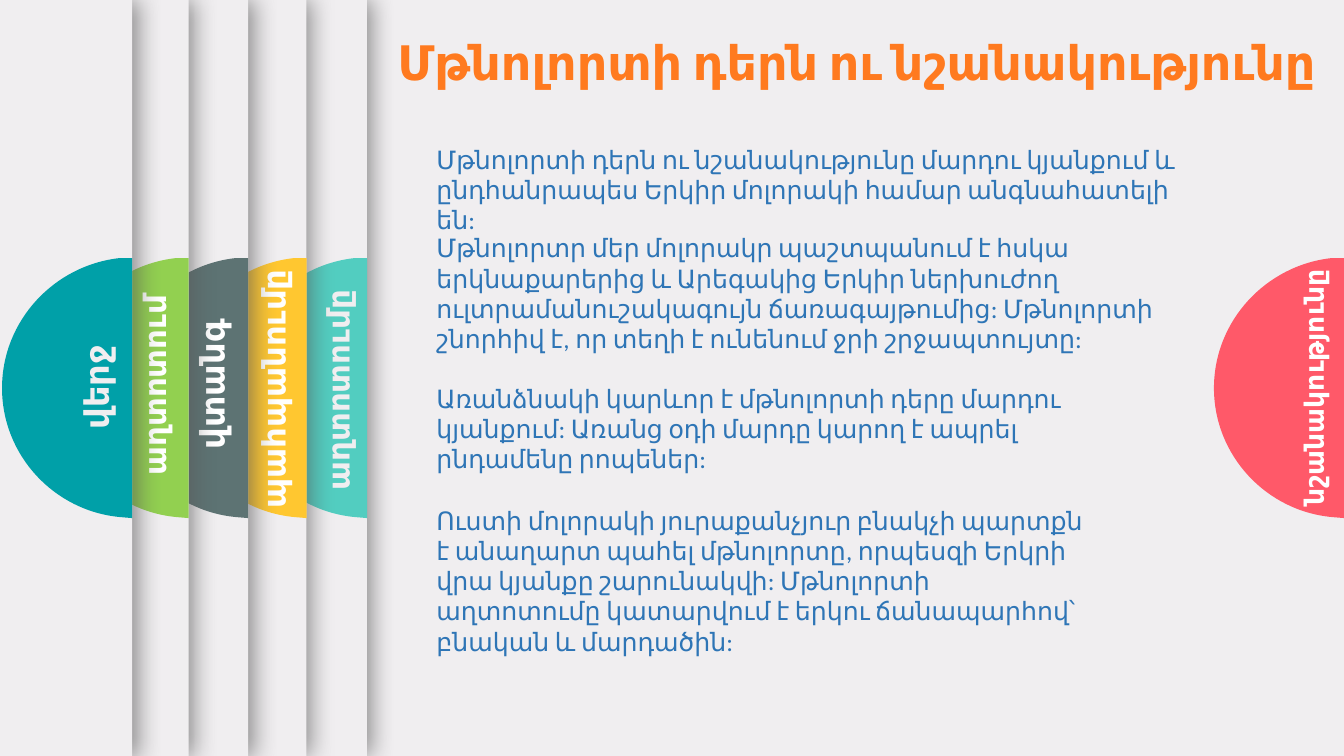
import pptx
import pptx.dml.color
import pptx.enum.shapes
import pptx.enum.text
import pptx.oxml
import pptx.oxml.ns
import pptx.util

Inches = pptx.util.Inches
RGBColor = pptx.dml.color.RGBColor

PAPER = RGBColor(0xF0, 0xEE, 0xF0)
WHITE = RGBColor(0xFF, 0xFF, 0xFF)
ORANGE = RGBColor(0xFF, 0x7A, 0x1F)
BLUE = RGBColor(0x2E, 0x75, 0xB6)
CORAL = RGBColor(0xFF, 0x59, 0x69)
TURQUOISE = RGBColor(0x52, 0xCD, 0xC0)
YELLOW = RGBColor(0xFF, 0xC7, 0x30)
SLATE = RGBColor(0x5D, 0x73, 0x73)
GREEN = RGBColor(0x92, 0xD0, 0x50)
TEAL = RGBColor(0x00, 0xA0, 0xA8)

FONT = "Calibri"
SLIDE_WIDTH, SLIDE_HEIGHT = 13.33, 7.5
TAB_CENTER = 3.85
# Offsets from the middle of the tab's straight side: three corners, then two Bézier curves
TAB_OUTLINE = [
    (0, -1.29), (0, 1.29), (-0.12, 1.28),
    (-0.77, 1.22), (-1.29, 0.67), (-1.29, 0),
    (-1.29, -0.67), (-0.77, -1.22), (-0.12, -1.29),
]

# sheet left and right, tab colour, label spans, size, label colour, label centre x, y, length
FRONT_PANEL = (-0.32, SLIDE_WIDTH, CORAL, [("նշանակությունը", FONT)], 19, WHITE,
               13.03, 3.84, 2.57)
SIDE_PANELS = [
    (-9, 3.64, TURQUOISE, [("աղտոտումը", FONT)], 22, PAPER, 3.35, 3.87, 2.68),
    (-7.96, 3.04, YELLOW, [("պահպանումը", FONT)], 23, WHITE, 2.71, 3.86, 2.68),
    (-8.11, 2.46, SLATE, [("վտանգ", FONT)], 24, WHITE, 2.1, 3.81, 2.57),
    (-7.73, 1.87, GREEN, [("ա", "Roboto"), ("ղտոտում", FONT)], 22, WHITE, 1.53, 3.82, 2.71),
    (-9.65, 1.31, TEAL, [("վերջ", FONT)], 24, PAPER, 0.95, 3.84, 2.18),
]

# top, width, height, text
BODY_TEXTS = [
    (1.38, 7.58, 0.71, "Մթնոլորտի դերն ու նշանակությունը մարդու կյանքում\u00a0և "
     "ընդհանրապես Երկիր մոլորակի համար անգնահատելի են:"),
    (2.26, 7.58, 1.31, "Մթնոլորտր մեր մոլորակր պաշտպանում է հսկա երկնաքարերից\u00a0և "
     "Արեգակից Երկիր ներխուժող ուլտրամանուշակագույն ճառագայթումից: "
     "Մթնոլորտի շնորհիվ է, որ տեղի է ունենում ջրի շրջապտույտը:"),
    (3.75, 6.67, 1.01, "Առանձնակի կարևոր է մթնոլորտի դերը մարդու կյանքում: "
     "Առանց օդի մարդը կարող է ապրել րնդամենը րոպեներ:"),
    (4.96, 6.67, 1.62, "Ուստի մոլորակի յուրաքանչյուր բնակչի պարտքն է անաղարտ պահել "
     "մթնոլորտը, որպեսզի Երկրի վրա կյանքը շարունակվի: Մթնոլորտի աղտոտումը "
     "կատարվում է երկու ճանապարհով՝ բնական և մարդածին:"),
]


def write_text(box, spans, size, color, bold=False, align=pptx.enum.text.PP_ALIGN.LEFT):
    """Fill a box with one paragraph made of (text, font name) spans."""
    frame = box.text_frame
    frame.word_wrap = True
    frame.auto_size = pptx.enum.text.MSO_AUTO_SIZE.SHAPE_TO_FIT_TEXT
    frame.vertical_anchor = pptx.enum.text.MSO_ANCHOR.TOP
    para = frame.paragraphs[0]
    para.alignment = align
    for text, font_name in spans:
        span = para.add_run()
        span.text = text
        span.font.name = font_name
        span.font.size = pptx.util.Pt(size)
        span.font.bold = bold
        span.font.color.rgb = color


def paint(shape, color):
    shape.fill.solid()
    shape.fill.fore_color.rgb = color
    shape.line.fill.background()
    shape.shadow.inherit = False


def cast_shadow(shape):
    """Give the shape a soft shadow to its right."""
    effects = shape.element.spPr.find(pptx.oxml.ns.qn("a:effectLst"))
    effects.append(pptx.oxml.parse_xml(
        f'<a:outerShdw {pptx.oxml.ns.nsdecls("a")} blurRad="{pptx.util.Pt(17)}" '
        f'dist="{pptx.util.Pt(3)}" dir="0" algn="l" rotWithShape="0">'
        '<a:srgbClr val="595959"><a:alpha val="65000"/></a:srgbClr></a:outerShdw>'))


def add_half_disc(shapes, right, color):
    points = [(Inches(right + x), Inches(TAB_CENTER + y)) for x, y in TAB_OUTLINE]
    builder = shapes.build_freeform(*points[0])
    builder.add_line_segments(points[1:], close=True)
    disc = builder.convert_to_shape()
    segments = list(disc.element.iter(pptx.oxml.ns.qn("a:lnTo")))
    for first in (2, 5):
        curve = pptx.oxml.parse_xml(f'<a:cubicBezTo {pptx.oxml.ns.nsdecls("a")}/>')
        segments[first].addprevious(curve)
        for segment in segments[first:first + 3]:
            curve.append(segment[0])
            segment.getparent().remove(segment)
    paint(disc, color)


def add_panel(page, left, right, tab_color, spans, size, label_color,
              center_x, center_y, length):
    """Add a full-height sheet with a half-round tab and an upright label."""
    shapes = page.shapes.add_group_shape().shapes
    sheet = shapes.add_shape(pptx.enum.shapes.MSO_SHAPE.RECTANGLE, Inches(left), 0,
                             Inches(right - left), Inches(SLIDE_HEIGHT))
    paint(sheet, PAPER)
    cast_shadow(sheet)
    add_half_disc(shapes, right, tab_color)
    height = 0.1 + size * 0.017
    label = shapes.add_textbox(Inches(center_x - length / 2), Inches(center_y - height / 2),
                               Inches(length), Inches(height))
    label.rotation = 270
    write_text(label, spans, size, label_color, bold=True,
               align=pptx.enum.text.PP_ALIGN.CENTER)


def set_title(page, text):
    title = page.shapes.title
    title.left, title.top = Inches(3.76), Inches(0.28)
    title.width, title.height = Inches(9.48), Inches(0.67)
    write_text(title, [(text, FONT)], 34, ORANGE, bold=True,
               align=pptx.enum.text.PP_ALIGN.CENTER)
    page.shapes.element.append(title.element)  # in front of the first panel


def main():
    deck = pptx.Presentation()
    deck.slide_width, deck.slide_height = Inches(SLIDE_WIDTH), Inches(SLIDE_HEIGHT)
    page = deck.slides.add_slide(deck.slide_layouts[5])
    page.background.fill.solid()
    page.background.fill.fore_color.rgb = PAPER

    add_panel(page, *FRONT_PANEL)
    set_title(page, "Մթնոլորտի դերն ու նշանակությունը")
    for top, width, height, text in BODY_TEXTS:
        box = page.shapes.add_textbox(Inches(4.23), Inches(top), Inches(width), Inches(height))
        write_text(box, [(text, FONT)], 18, BLUE)
    for panel in SIDE_PANELS:
        add_panel(page, *panel)
    deck.save("out.pptx")


if __name__ == "__main__":
    main()
